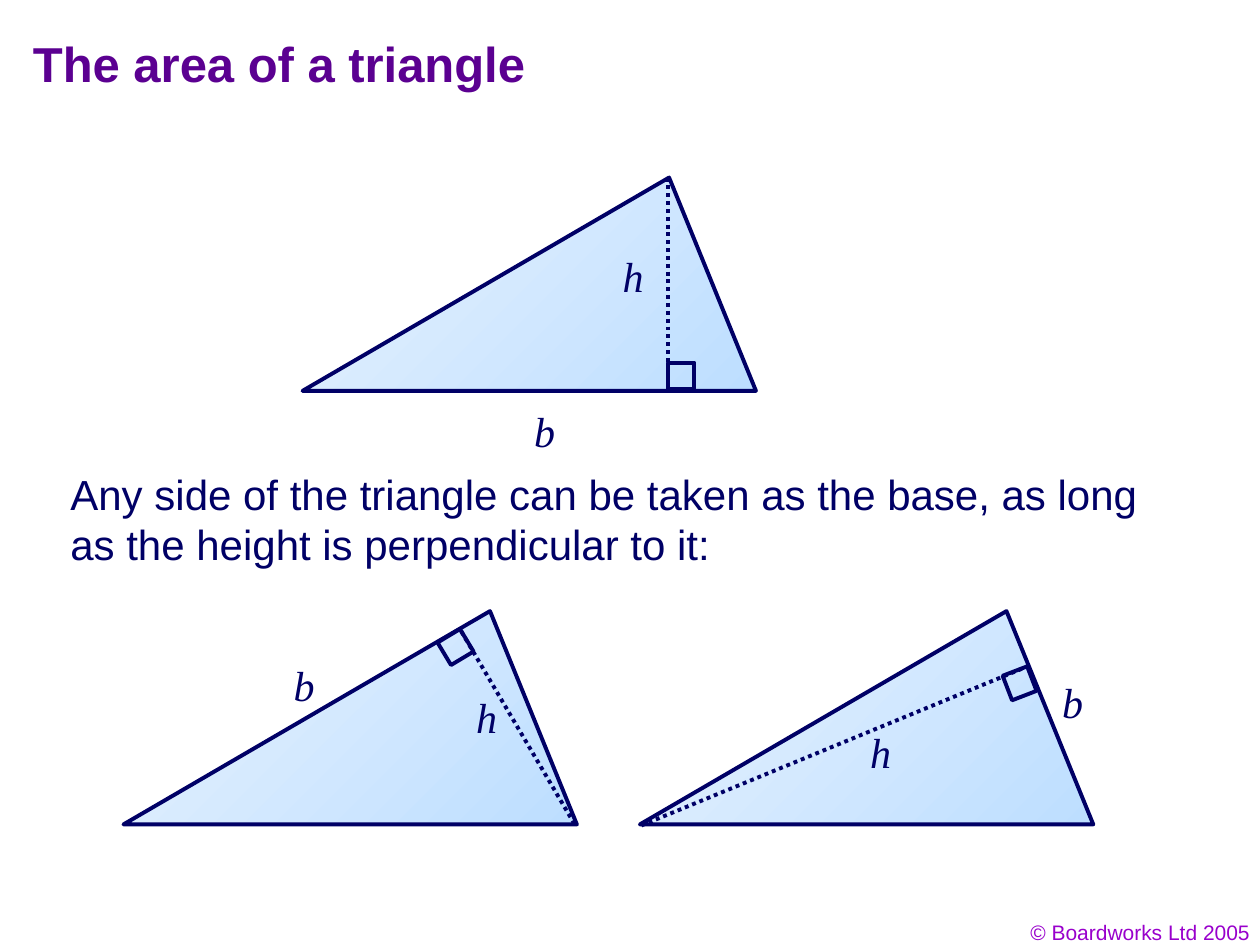
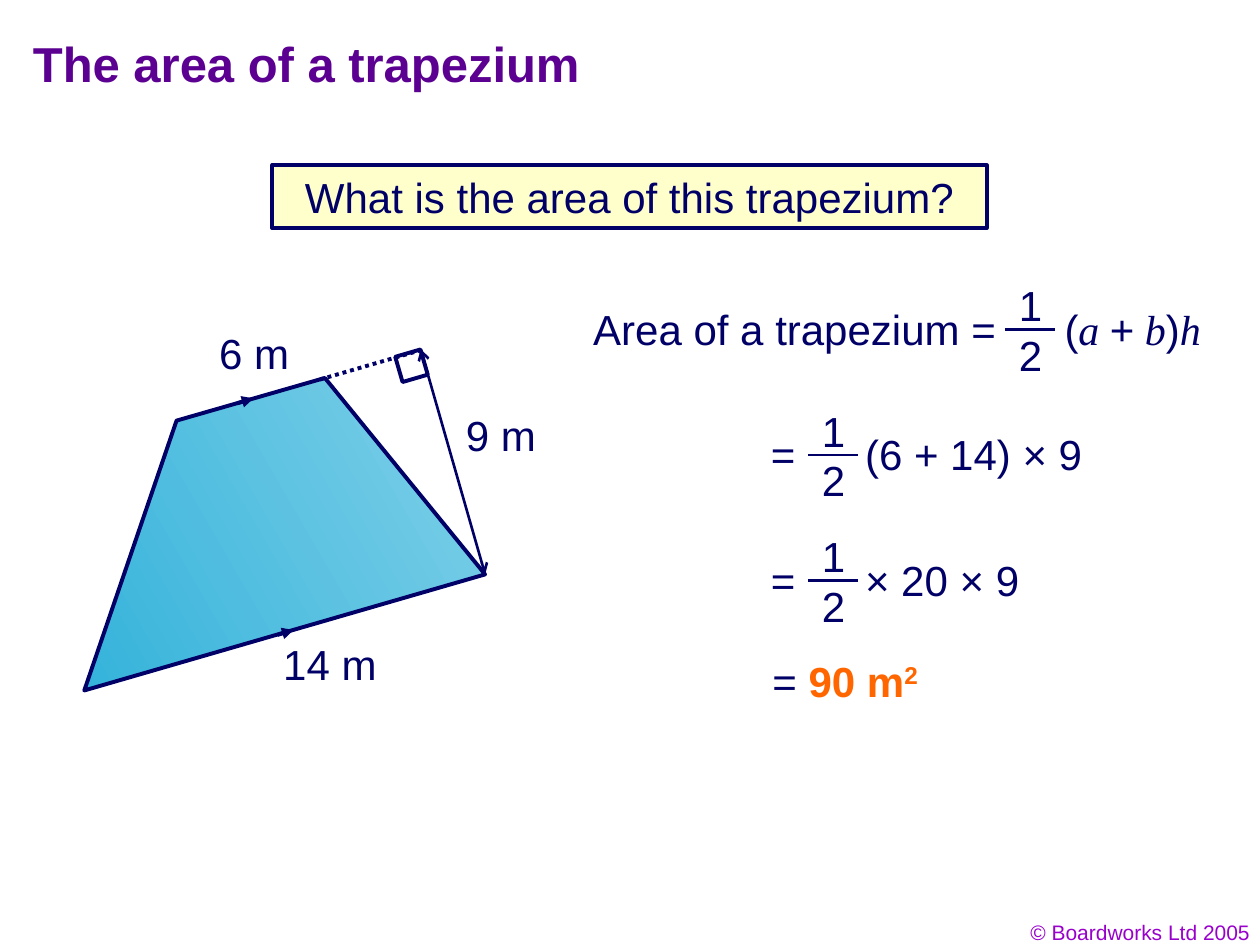
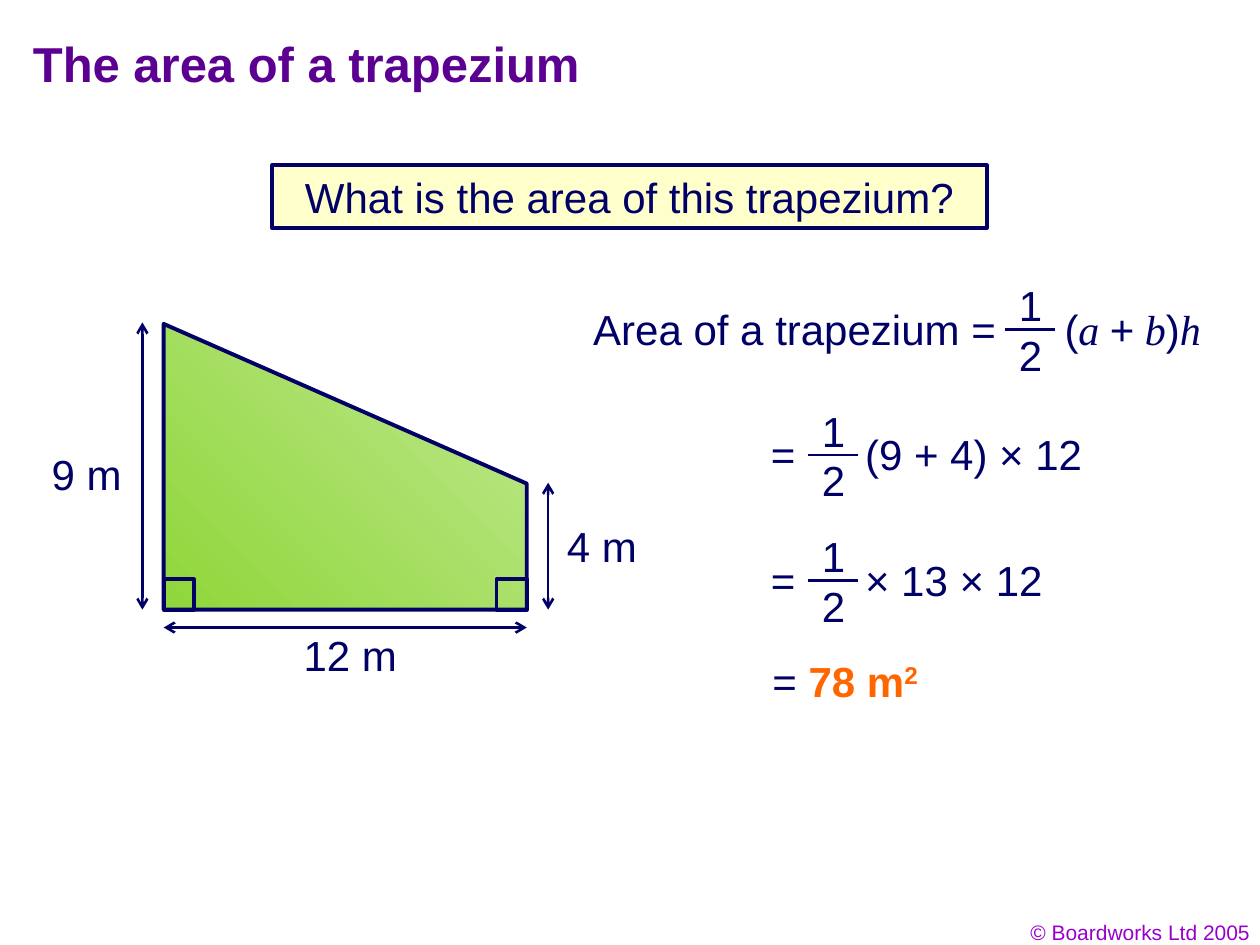
from dataclasses import dataclass

from lxml import etree
from pptx import Presentation
from pptx.dml.color import RGBColor
from pptx.enum.dml import MSO_LINE
from pptx.enum.shapes import MSO_CONNECTOR, MSO_SHAPE
from pptx.enum.text import MSO_ANCHOR, PP_ALIGN
from pptx.oxml.ns import qn
from pptx.shapes.autoshape import Shape
from pptx.slide import Slide
from pptx.util import Cm, Pt

DOTTED = MSO_LINE.ROUND_DOT
STRAIGHT = MSO_CONNECTOR.STRAIGHT
RECTANGLE = MSO_SHAPE.RECTANGLE
MIDDLE = MSO_ANCHOR.MIDDLE
LEFT, CENTER, RIGHT = PP_ALIGN.LEFT, PP_ALIGN.CENTER, PP_ALIGN.RIGHT

COLORS = {
    "ink": "000066",
    "title": "5B0091",
    "copyright": "9900CC",
    "answer": "FF6600",
    "banner": "FFFFCC",
    "triangle_light": "E9F3FE",
    "triangle_dark": "BDDEFF",
    "blue_light": "80D0E8",
    "blue_dark": "35B3DB",
    "green_light": "C0E890",
    "green_dark": "8FD63A",
}
SANS = "Arial"
SERIF = "Times New Roman"
THICK = 2.25
THIN = 1.5
LINE_HEIGHT = 1.27
TITLE_ONLY = 5

Point = tuple[float, float]


@dataclass(frozen=True)
class Span:
    text: str
    size: float = 24
    font: str = SANS
    color: str = "ink"
    bold: bool = False
    italic: bool = False
    superscript: bool = False


@dataclass(frozen=True)
class Label:
    text: str
    left: float
    top: float
    width: float = 1.95


@dataclass(frozen=True)
class Corner:
    left: float
    top: float
    size: float = 0.53
    rotation: float = 0


@dataclass(frozen=True)
class Segment:
    start: Point
    end: Point
    width: float = THICK
    dotted: bool = False
    head: str = ""
    tail: str = ""


@dataclass(frozen=True)
class Gradient:
    first: str
    last: str
    clockwise_angle: float


@dataclass(frozen=True)
class Triangle:
    left: float
    top: float
    altitude: tuple[Point, Point]
    corner: Corner
    base_label: Point
    height_label: Point


@dataclass(frozen=True)
class Step:
    text: str
    width: float


@dataclass(frozen=True)
class Trapezium:
    points: list[Point]
    gradient: Gradient
    segments: list[Segment]
    corners: list[Corner]
    labels: list[Label]
    steps: list[Step]
    answer: str


TRIANGLE_POINTS = [(9.14, 4.3), (0, 4.3), (7.39, 0)]
TRIANGLE_GRADIENT = Gradient("triangle_light", "triangle_dark", 45)
TRIANGLES = [
    Triangle(6.1, 3.58, ((7.37, 0), (7.37, 4.3)), Corner(7.37, 3.73),
             (4.42, 4.47), (6.2, 1.35)),
    Triangle(2.49, 12.32, ((9.09, 4.29), (6.78, 0.36)),
             Corner(6.43, 0.46, rotation=329), (3.18, 0.86), (6.86, 1.5)),
    Triangle(12.9, 12.32, ((0.03, 4.32), (7.8, 1.12)),
             Corner(7.39, 1.19, rotation=339), (8.26, 1.19), (4.39, 2.21)),
]
FORMULA = [
    Span("Area of a trapezium =\t("),
    Span("a ", font=SERIF, italic=True),
    Span("+"),
    Span(" b", font=SERIF, italic=True),
    Span(")"),
    Span("h", font=SERIF, italic=True),
]


def dimension(start: Point, end: Point) -> Segment:
    return Segment(start, end, THIN, head="arrow", tail="arrow")


TRAPEZIUMS = [
    Trapezium(
        points=[(1.7, 13.92), (9.78, 11.58), (6.55, 7.62), (3.56, 8.48)],
        gradient=Gradient("blue_light", "blue_dark", 150),
        segments=[
            Segment((4.78, 8.13), (5.11, 8.03), tail="triangle"),
            Segment((5.59, 12.8), (5.92, 12.7), tail="triangle"),
            dimension((8.48, 7.04), (9.78, 11.58)),
            Segment((6.45, 7.65), (8.48, 7.06), dotted=True),
        ],
        corners=[Corner(8.03, 7.11, rotation=343.8)],
        labels=[Label("9 m", 9.14, 8.13), Label("6 m", 4.17, 6.48),
                Label("14 m", 5.46, 12.75, 2.45)],
        steps=[Step("=\t(6 + 14) × 9", 6.85), Step("=\t× 20 × 9", 5.6)],
        answer="90 m",
    ),
    Trapezium(
        points=[(3.3, 12.29), (10.62, 12.29), (10.62, 9.75), (3.3, 6.53)],
        gradient=Gradient("green_light", "green_dark", 135),
        segments=[
            dimension((2.87, 6.5), (2.87, 12.29)),
            dimension((11.05, 9.73), (11.05, 12.29)),
            dimension((3.3, 12.65), (10.62, 12.65)),
        ],
        corners=[Corner(3.3, 11.68, 0.61), Corner(10.01, 11.68, 0.61)],
        labels=[Label("9 m", 0.79, 8.92), Label("4 m", 11.18, 10.36),
                Label("12 m", 5.87, 12.57, 2.45)],
        steps=[Step("=\t(9 + 4) × 12", 6.85), Step("=\t× 13 × 12", 6.1)],
        answer="78 m",
    ),
]


def rgb(name: str) -> RGBColor:
    return RGBColor.from_string(COLORS[name])


def write(shape: Shape, spans: list[Span], alignment=LEFT, tab: float = 0) -> None:
    text_frame = shape.text_frame
    text_frame.word_wrap = True
    paragraph = text_frame.paragraphs[0]
    paragraph.alignment = alignment
    if tab:
        tabs = etree.SubElement(paragraph._p.get_or_add_pPr(), qn("a:tabLst"))
        etree.SubElement(tabs, qn("a:tab"), pos=str(Cm(tab)), algn="l")
    for span in spans:
        run = paragraph.add_run()
        run.text = span.text
        run.font.name = span.font
        run.font.size = Pt(span.size)
        run.font.bold = span.bold
        run.font.italic = span.italic
        run.font.color.rgb = rgb(span.color)
        if span.superscript:
            run._r.get_or_add_rPr().set("baseline", "30000")


def add_text(shapes, left: float, top: float, width: float, spans: list[Span],
             height: float = LINE_HEIGHT, alignment=LEFT, tab: float = 0) -> Shape:
    box = shapes.add_textbox(Cm(left), Cm(top), Cm(width), Cm(height))
    write(box, spans, alignment, tab)
    return box


def outline(shape: Shape) -> None:
    shape.shadow.inherit = False
    shape.line.color.rgb = rgb("ink")
    shape.line.width = Pt(THICK)


def add_polygon(shapes, points: list[Point], gradient: Gradient) -> None:
    corners = [(Cm(x), Cm(y)) for x, y in points]
    builder = shapes.build_freeform(*corners[0])
    builder.add_line_segments(corners[1:], close=True)
    polygon = builder.convert_to_shape()
    outline(polygon)
    polygon.fill.gradient()
    polygon.fill.gradient_angle = 360 - gradient.clockwise_angle
    stops = polygon.fill.gradient_stops
    for stop, position, color in zip(stops, (0, 1), (gradient.first, gradient.last)):
        stop.position = position
        stop.color.rgb = rgb(color)


def add_segment(shapes, segment: Segment) -> None:
    ends = [Cm(value) for value in (*segment.start, *segment.end)]
    connector = shapes.add_connector(STRAIGHT, *ends)
    connector.line.color.rgb = rgb("ink")
    connector.line.width = Pt(segment.width)
    if segment.dotted:
        connector.line.dash_style = DOTTED
    line = connector.line._get_or_add_ln()
    for tag, kind in (("a:headEnd", segment.head), ("a:tailEnd", segment.tail)):
        if kind:
            etree.SubElement(line, qn(tag), type=kind)
    etree.SubElement(connector.element.spPr, qn("a:effectLst"))


def add_corner(shapes, corner: Corner) -> None:
    square = shapes.add_shape(RECTANGLE, Cm(corner.left), Cm(corner.top),
                              Cm(corner.size), Cm(corner.size))
    square.rotation = corner.rotation
    square.fill.background()
    outline(square)


def add_triangle(slide: Slide, triangle: Triangle) -> None:
    def place(point: Point) -> Point:
        return triangle.left + point[0], triangle.top + point[1]

    shapes = slide.shapes.add_group_shape().shapes
    add_polygon(shapes, [place(point) for point in TRIANGLE_POINTS], TRIANGLE_GRADIENT)
    start, end = triangle.altitude
    add_segment(shapes, Segment(place(start), place(end), dotted=True))
    corner = triangle.corner
    left, top = place((corner.left, corner.top))
    add_corner(shapes, Corner(left, top, corner.size, corner.rotation))
    for letter, point in (("b", triangle.base_label), ("h", triangle.height_label)):
        add_text(shapes, *place(point), 1, [Span(letter, font=SERIF, italic=True)])


def add_half_line(slide: Slide, left: float, top: float, width: float,
                  spans: list[Span], tab: float, half_left: float) -> None:
    shapes = slide.shapes.add_group_shape().shapes
    add_text(shapes, left, top + 0.48, width, spans, tab=tab)
    add_text(shapes, half_left, top, 1, [Span("1")])
    bar = top + 1.13
    add_segment(shapes, Segment((half_left - 0.03, bar), (half_left + 0.97, bar), THIN))
    add_text(shapes, half_left, top + 1, 1, [Span("2")])


def add_working(slide: Slide, trapezium: Trapezium) -> None:
    first_top, spacing = 5.51, 2.53
    add_half_line(slide, 11.71, first_top, 12.9, FORMULA, 9.5, 20.29)
    for number, step in enumerate(trapezium.steps, start=1):
        add_half_line(slide, 15.29, first_top + number * spacing, step.width,
                      [Span(step.text)], 1.9, 16.32)
    add_text(slide.shapes, 15.32, 13.08, 3.5, [
        Span("= "),
        Span(trapezium.answer, color="answer", bold=True),
        Span("2", color="answer", bold=True, superscript=True),
    ])


def add_banner(slide: Slide, text: str) -> None:
    banner = slide.shapes.add_shape(RECTANGLE, Cm(5.49), Cm(3.33), Cm(14.4), Cm(LINE_HEIGHT))
    banner.fill.solid()
    banner.fill.fore_color.rgb = rgb("banner")
    outline(banner)
    write(banner, [Span(text)], CENTER)


def add_slide(presentation, title: str) -> Slide:
    slide = presentation.slides.add_slide(presentation.slide_layouts[TITLE_ONLY])
    placeholder = slide.shapes.title
    placeholder.left, placeholder.top = Cm(0.41), Cm(0.41)
    placeholder.width, placeholder.height = Cm(22.86), Cm(1.7)
    placeholder.text_frame.vertical_anchor = MIDDLE
    write(placeholder, [Span(title, size=28, color="title", bold=True)])
    return slide


def add_triangle_slide(presentation) -> Slide:
    slide = add_slide(presentation, "The area of a triangle")
    add_text(slide.shapes, 1.17, 9.32, 22.53, [
        Span("Any side of the triangle can be taken as the base, "
             "as long as the height is perpendicular to it:"),
    ], height=2.29)
    for triangle in TRIANGLES:
        add_triangle(slide, triangle)
    return slide


def add_trapezium_slide(presentation, trapezium: Trapezium) -> None:
    slide = add_slide(presentation, "The area of a trapezium")
    add_banner(slide, "What is the area of this trapezium?")
    add_polygon(slide.shapes, trapezium.points, trapezium.gradient)
    for segment in trapezium.segments:
        add_segment(slide.shapes, segment)
    for corner in trapezium.corners:
        add_corner(slide.shapes, corner)
    for label in trapezium.labels:
        add_text(slide.shapes, label.left, label.top, label.width, [Span(label.text)])
    add_working(slide, trapezium)


def add_shared_copyright(slide: Slide) -> None:
    box = add_text(slide.shapes, 19.53, 18.42, 5.92,
                   [Span("© Boardworks Ltd 2005", size=12, color="copyright")],
                   height=0.76, alignment=RIGHT)
    slide.slide_layout.shapes.element.append(box.element)


def main() -> None:
    presentation = Presentation()
    presentation.slide_width, presentation.slide_height = Cm(25.4), Cm(19.05)
    add_shared_copyright(add_triangle_slide(presentation))
    for trapezium in TRAPEZIUMS:
        add_trapezium_slide(presentation, trapezium)
    presentation.save("out.pptx")


if __name__ == "__main__":
    main()
